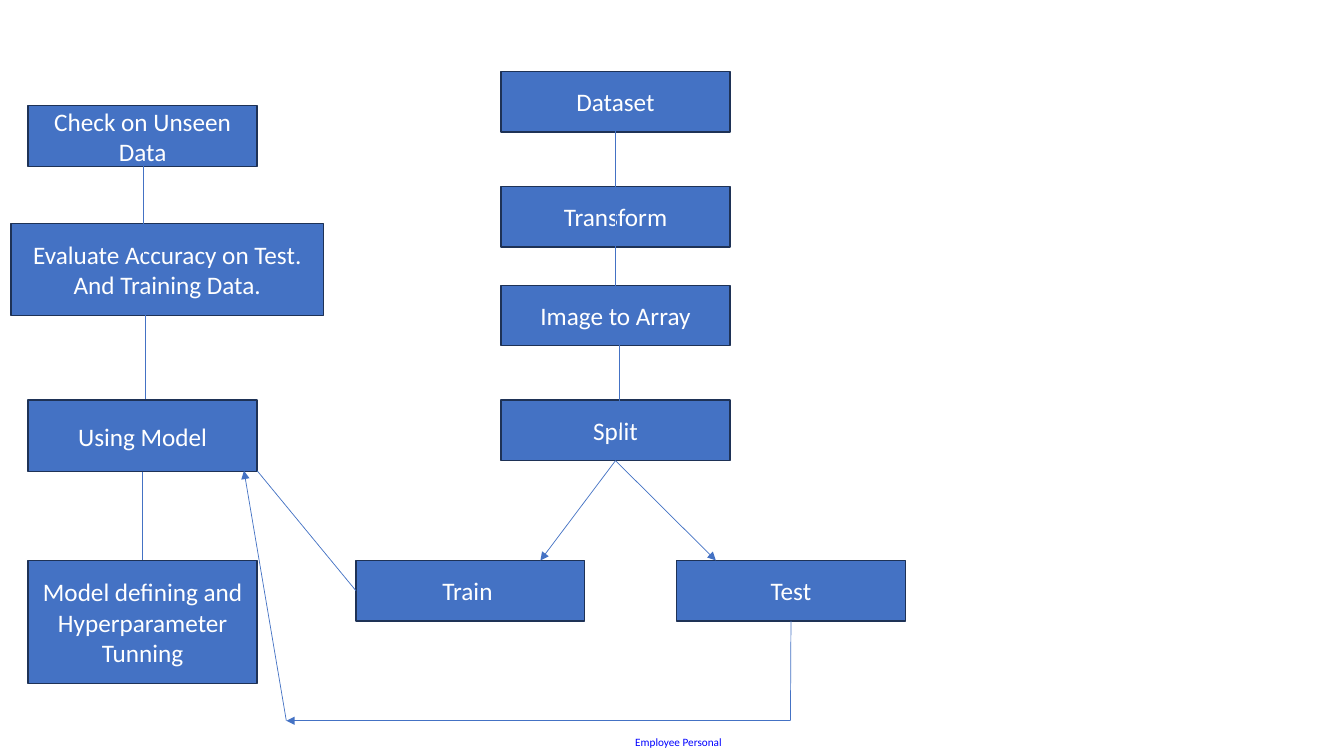
from dataclasses import dataclass

from lxml import etree
from pptx import Presentation
from pptx.dml.color import RGBColor
from pptx.enum.shapes import MSO_CONNECTOR, MSO_SHAPE
from pptx.enum.text import MSO_ANCHOR, PP_ALIGN
from pptx.oxml.ns import qn
from pptx.util import Emu, Pt

RECTANGLE = MSO_SHAPE.RECTANGLE
STRAIGHT = MSO_CONNECTOR.STRAIGHT
MIDDLE = MSO_ANCHOR.MIDDLE
CENTER = PP_ALIGN.CENTER
TOP, LEFT, BOTTOM = 0, 1, 2
EMU_PER_PX = 9144


@dataclass(frozen=True)
class Theme:
    """Colours, type sizes and line widths of the flowchart."""

    font: str = "Calibri"
    fill: RGBColor = RGBColor(0x44, 0x72, 0xC4)
    outline: RGBColor = RGBColor(0x1E, 0x32, 0x56)
    box_text: RGBColor = RGBColor(0xFF, 0xFF, 0xFF)
    label_text: RGBColor = RGBColor(0x00, 0x00, 0xFF)
    box_size: Pt = Pt(18)
    label_size: Pt = Pt(8)
    outline_width: Pt = Pt(1)
    link_width: Pt = Pt(0.5)


THEME = Theme()
STEP_WIDTH, STEP_HEIGHT = 227, 60
MODEL_LEFT, DATA_LEFT = 28, 497
BRANCH_TOP = 556
RETURN_X, RETURN_Y = 284, 715

STEPS = [
    ("Dataset", DATA_LEFT, 71, STEP_WIDTH, STEP_HEIGHT),
    ("Transform", DATA_LEFT, 185, STEP_WIDTH, STEP_HEIGHT),
    ("Image to Array", DATA_LEFT, 283, STEP_WIDTH, STEP_HEIGHT),
    ("Split", DATA_LEFT, 397, STEP_WIDTH, STEP_HEIGHT),
    ("Train ", 353, BRANCH_TOP, STEP_WIDTH, STEP_HEIGHT),
    ("Test", 671, BRANCH_TOP, STEP_WIDTH, STEP_HEIGHT),
    ("Model defining and Hyperparameter Tunning", MODEL_LEFT, BRANCH_TOP, STEP_WIDTH, 122),
    ("Evaluate Accuracy on Test.\nAnd Training Data.", 11, 222, 310, 91),
    ("Check on Unseen Data", MODEL_LEFT, 105, STEP_WIDTH, STEP_HEIGHT),
    ("Using Model", MODEL_LEFT, 397, STEP_WIDTH, 71),
]

OVERLAPPING_LINKS = [(144, 297), (610, 116), (614, 327), (610, 198), (142, 160)]
OVERLAPPING_LENGTH = 99


def px(length):
    """Turn whole pixels into EMU."""
    return Emu(length * EMU_PER_PX)


def style_font(para, size, color):
    """Set the font of a paragraph."""
    para.font.name = THEME.font
    para.font.size = size
    para.font.color.rgb = color


def add_step(page, text, left, top, width, height):
    """Add a process box with centred text."""
    box = page.shapes.add_shape(RECTANGLE, px(left), px(top), px(width), px(height))
    box.shadow.inherit = False
    box.fill.solid()
    box.fill.fore_color.rgb = THEME.fill
    box.line.color.rgb = THEME.outline
    box.line.width = THEME.outline_width
    frame = box.text_frame
    frame.word_wrap = True
    frame.vertical_anchor = MIDDLE
    frame.text = text
    for para in frame.paragraphs:
        para.alignment = CENTER
        style_font(para, THEME.box_size, THEME.box_text)
    return box


def add_link(page, start, end, arrow=False):
    """Link two ends, each an (x, y) point or a (box, side) joint."""
    link = page.shapes.add_connector(STRAIGHT, 0, 0, 0, 0)
    if isinstance(start[0], int):
        link.begin_x, link.begin_y = map(px, start)
    else:
        link.begin_connect(*start)
    if isinstance(end[0], int):
        link.end_x, link.end_y = map(px, end)
    else:
        link.end_connect(*end)
    link.line.color.rgb = THEME.fill
    link.line.width = THEME.link_width
    if arrow:
        etree.SubElement(link.line._get_or_add_ln(), qn("a:tailEnd"), type="triangle")
    etree.SubElement(link._element.spPr, qn("a:effectLst"))


def add_label(page, text, left, top, width, height):
    """Add the small classification label."""
    box = page.shapes.add_textbox(px(left), px(top), px(width), px(height))
    frame = box.text_frame
    frame.margin_left = frame.margin_right = frame.margin_top = frame.margin_bottom = 0
    frame.word_wrap = False
    frame.text = text
    style_font(frame.paragraphs[0], THEME.label_size, THEME.label_text)


def main():
    """Build the model training flowchart."""
    deck = Presentation()
    deck.slide_width, deck.slide_height = px(1333), px(750)
    page = deck.slides.add_slide(deck.slide_layouts[6])

    add_label(page, "Employee Personal", 630, 730, 90, 13)
    boxes = [add_step(page, *step) for step in STEPS]
    split, train, test, model = boxes[3:7]
    using_model = boxes[-1]

    for x, y in OVERLAPPING_LINKS:
        add_link(page, (x, y), (x, y + OVERLAPPING_LENGTH))
    add_link(page, (split, BOTTOM), (710, BRANCH_TOP), arrow=True)
    add_link(page, (split, BOTTOM), (536, BRANCH_TOP), arrow=True)
    add_link(page, (using_model, BOTTOM), (model, TOP))
    add_link(page, (255, 467), (train, LEFT))
    add_link(page, (test, BOTTOM), (784, RETURN_Y))
    add_link(page, (784, RETURN_Y), (RETURN_X, RETURN_Y), arrow=True)
    add_link(page, (RETURN_X, RETURN_Y), (242, 467), arrow=True)

    deck.save("out.pptx")


if __name__ == "__main__":
    main()
